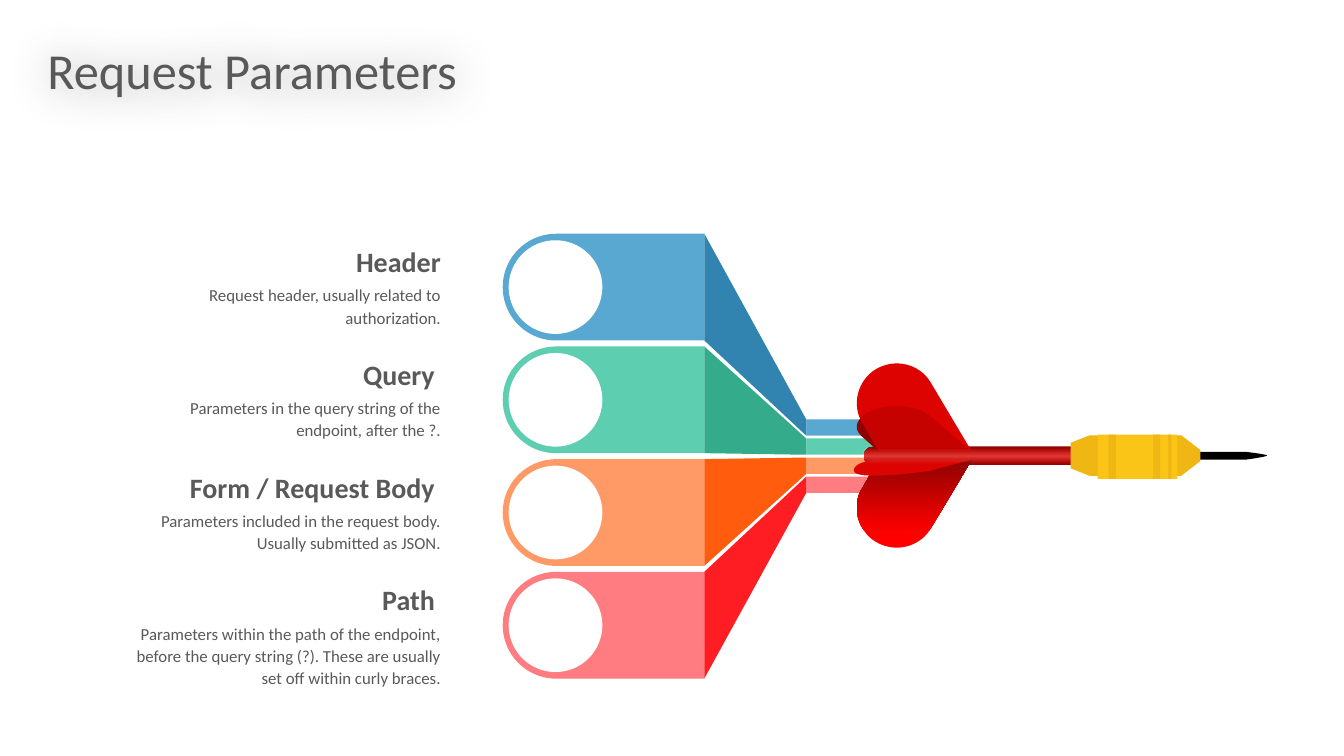
from lxml import etree
from pptx import Presentation
from pptx.dml.color import RGBColor
from pptx.enum import shapes, text
from pptx.oxml import ns, parse_xml
from pptx.util import Cm, Pt

GREY = RGBColor(0x59, 0x59, 0x59)
WHITE = RGBColor(0xFF, 0xFF, 0xFF)
BLACK = RGBColor(0x00, 0x00, 0x00)
BLUE, BLUE_DARK = RGBColor(0x59, 0xA8, 0xD1), RGBColor(0x30, 0x84, 0xAF)
GREEN, GREEN_DARK = RGBColor(0x5D, 0xCE, 0xAF), RGBColor(0x34, 0xAC, 0x8B)
ORANGE, ORANGE_DARK = RGBColor(0xFF, 0x99, 0x66), RGBColor(0xFF, 0x5D, 0x0D)
PINK, PINK_DARK = RGBColor(0xFF, 0x7C, 0x80), RGBColor(0xFF, 0x1D, 0x24)
RED, RED_DARK = RGBColor(0xDD, 0x03, 0x00), RGBColor(0x8E, 0x03, 0x00)
RED_BRIGHT = RGBColor(0xFF, 0x00, 0x00)
YELLOW, YELLOW_DARK = RGBColor(0xFA, 0xC5, 0x16), RGBColor(0xEF, 0xB6, 0x14)

SHAPE = shapes.MSO_SHAPE

# heading, heading width, heading right inset, description, its height, colours
ROWS = [
    ("Header", 2.67, 0.25, "Request header, usually related to authorization.",
     1.4, BLUE, BLUE_DARK),
    ("Query", 2.51, 0.4,
     "Parameters in the query string of the endpoint, after the ?.",
     1.4, GREEN, GREEN_DARK),
    ("Form / Request Body", 6.91, 0.4,
     "Parameters included in the request body. Usually submitted as JSON.",
     1.4, ORANGE, ORANGE_DARK),
    ("Path", 2.01, 0.4,
     "Parameters within the path of the endpoint, before the query string (?). "
     "These are usually set off within curly braces.", 1.93, PINK, PINK_DARK),
]
ROW_PITCH, STRIP_PITCH = 2.84, 0.48


def paint(sp, color, alpha=None):
    sp.shadow.inherit = False
    sp.line.fill.background()
    sp.fill.solid()
    sp.fill.fore_color.rgb = color
    if alpha is not None:
        clr = sp._element.spPr.find(".//" + ns.qn("a:srgbClr"))
        etree.SubElement(clr, ns.qn("a:alpha")).set("val", str(alpha * 1000))
    return sp


def paint_gradient(sp, angle, stops):
    """Each stop is (position, colour, opacity), in percent."""
    paint(sp, WHITE)
    gs = "".join(f'<a:gs pos="{pos * 1000}"><a:srgbClr val="{color}">'
                 f'<a:alpha val="{alpha * 1000}"/></a:srgbClr></a:gs>'
                 for pos, color, alpha in stops)
    grad = parse_xml(f'<a:gradFill {ns.nsdecls("a")} rotWithShape="1"><a:gsLst>{gs}'
                     f'</a:gsLst><a:lin ang="{angle * 60000}" scaled="0"/></a:gradFill>')
    spPr = sp._element.spPr
    spPr.replace(spPr.find(ns.qn("a:solidFill")), grad)


def add_block(parent, kind, x, y, w, h):
    return parent.add_shape(kind, Cm(x), Cm(y), Cm(w), Cm(h))


def add_outline(parent, x, y, segments, steps=16):
    """Segments hold a line end (2 numbers) or a cubic curve (6 numbers)."""
    pts = [segments[0]]
    for seg in segments[1:]:
        if len(seg) == 2:
            pts.append(seg)
            continue
        poly = [pts[-1], seg[:2], seg[2:4], seg[4:]]
        for i in range(1, steps + 1):
            t = i / steps
            weights = ((1 - t) ** 3, 3 * t * (1 - t) ** 2, 3 * t * t * (1 - t), t ** 3)
            pts.append(tuple(sum(k * p[axis] for k, p in zip(weights, poly))
                             for axis in (0, 1)))
    emu = [(Cm(x + px), Cm(y + py)) for px, py in pts]
    fb = parent.build_freeform(*emu[0], scale=1.0)
    fb.add_line_segments(emu[1:], close=True)
    return fb.convert_to_shape()


def add_text(s, x, y, w, h, content, size, bold=False, wrap=True, inset=0.25):
    tf = s.shapes.add_textbox(Cm(x), Cm(y), Cm(w), Cm(h)).text_frame
    tf.word_wrap = wrap
    tf.margin_right = Cm(inset)
    p = tf.paragraphs[0]
    p.text = content
    p.alignment = text.PP_ALIGN.RIGHT
    style(p, size, bold)
    return p


def style(p, size, bold=False):
    for r in p.runs:
        r.font.name, r.font.size, r.font.bold = "Calibri", Pt(size), bold
        r.font.color.rgb = GREY


def add_title(s, x, y, w, h):
    sp = s.shapes.title
    sp.left, sp.top, sp.width, sp.height = Cm(x), Cm(y), Cm(w), Cm(h)
    tf = sp.text_frame
    tf.text = "Request Parameters"
    tf.word_wrap = True
    tf.auto_size = text.MSO_AUTO_SIZE.NONE
    tf.vertical_anchor = text.MSO_ANCHOR.TOP
    tf.paragraphs[0].alignment = text.PP_ALIGN.LEFT
    style(tf.paragraphs[0], 36)
    # Soft halo behind the words
    sp._element.spPr.append(parse_xml(
        f'<a:effectLst {ns.nsdecls("a")}><a:outerShdw blurRad="406400" dist="0">'
        '<a:srgbClr val="000000"><a:alpha val="40000"/></a:srgbClr>'
        '</a:outerShdw></a:effectLst>'))


def add_label(s, x, y, w, row):
    heading, heading_w, inset, description, height = row[:5]
    add_text(s, x + w - heading_w, y + 0.15, heading_w, 1.12, heading, 20,
             bold=True, wrap=False, inset=inset)
    add_text(s, x, y + 1.12, w, height, description, 12).line_spacing = 1.1


def add_band(s, x, y, strip_y, light, dark):
    w, h, fold_w, strip_w, strip_h, disc = 5.08, 2.69, 2.57, 3.23, 0.41, 2.36
    # Band with its rounded end turned to the left
    band = add_block(s.shapes, SHAPE.ROUND_2_SAME_RECTANGLE,
                     x + (w - h) / 2, y + (h - w) / 2, h, w)
    band.adjustments[0], band.adjustments[1] = 0.5, 0
    band.rotation = 270
    paint(band, light)
    # Strip and the fold leading to it
    strip_x = x + w + fold_w
    paint(add_block(s.shapes, SHAPE.RECTANGLE, strip_x, strip_y, strip_w, strip_h), light)
    drop = strip_y - y
    paint(add_outline(s.shapes, x + w, y, [
        (0, 0), (0, h), (fold_w, drop + strip_h), (fold_w, drop)]), dark)
    # White disc
    paint(add_block(s.shapes, SHAPE.OVAL, x + 0.15, y + (h - disc) / 2, disc, disc), WHITE)


def add_dart(s, x, y):
    """Dart pointing right; x is its left end and y its axis."""
    g = s.shapes.add_group_shape().shapes

    def block(kind, bx, by, w, h):
        return add_block(g, kind, x + bx, y + by, w, h)

    def outline(*segments):
        return add_outline(g, x, y, segments)

    def fin(side, spread=1):
        def at(h):
            return side * (0.1 + spread * h)
        return outline((0.64, at(2.08)),
                       (1.12, at(2.36), 1.73, at(2.21), 2.01, at(1.75)),
                       (3.05, at(0)), (0.71, at(0)), (0.3, at(0.71)),
                       (0, at(1.17), 0.18, at(1.81), 0.64, at(2.08)))

    # Shaft and needle
    shaft = block(SHAPE.ROUNDED_RECTANGLE, 0.33, -0.23, 5.79, 0.48)
    shaft.adjustments[0] = 0.5
    paint_gradient(shaft, 90, [(0, RED_DARK, 100), (50, RED, 100), (100, RED_DARK, 100)])
    paint(outline((9.98, -0.09), (9.98, -0.09, 10.49, -0.03, 10.49, 0),
                  (10.49, 0.03, 9.98, 0.1, 9.98, 0.1), (8, 0.1), (8, -0.09)), BLACK)
    # Barrel: two cones, body and rings
    for wide, bend, narrow, half in ((7.75, 8.33, 8.81, 0.14), (6.6, 6.02, 5.54, 0.32)):
        paint(outline((wide, -0.51), (bend, -0.51), (narrow, -half),
                      (narrow, half), (bend, 0.51), (wide, 0.51)), YELLOW_DARK)
    for bx, w, color in ((6.22, 2.01, YELLOW), (8, 0.08, YELLOW_DARK),
                         (7.62, 0.18, YELLOW_DARK), (6.5, 0.18, YELLOW_DARK)):
        paint(block(SHAPE.RECTANGLE, bx, -0.53, w, 1.12), color)
    # Fins
    paint(fin(-1, 0.515), RED_DARK)
    paint_gradient(fin(1), 270, [(17, RED_BRIGHT, 100), (100, RED_DARK, 100)])
    paint(outline((2.01, 0.38), (3.05, 0.1), (0.71, 0.1),
                  (0.71, 0.1, 0.08, 0.13, 0.08, 0.38),
                  (0.08, 0.64, 1.73, 0.43, 2.01, 0.38)), RED)
    paint(fin(-1), RED)
    # Shade on the upper fin, gleam on the shaft
    paint(outline((0.23, -0.94), (0.3, -1.02, 0.46, -1.12, 0.64, -1.17),
                  (1.12, -1.32, 1.73, -1.24, 2.01, -0.99), (3.05, -0.1),
                  (0.71, -0.1), (0.3, -0.81),
                  (0.28, -0.84, 0.25, -0.89, 0.23, -0.94)), BLACK, alpha=10)
    paint_gradient(block(SHAPE.RECTANGLE, 0.33, -0.18, 5.21, 0.38), 90,
                   [(0, WHITE, 0), (50, WHITE, 20), (100, WHITE, 0)])


def main():
    prs = Presentation()
    prs.slide_width, prs.slide_height = Cm(33.87), Cm(19.05)
    s = prs.slides.add_slide(prs.slide_layouts[5])
    add_title(s, 0.94, 0.86, 25.07, 1.8)
    for i, row in enumerate(ROWS):
        y = 5.89 + i * ROW_PITCH
        add_band(s, 12.67, y, 10.57 + i * STRIP_PITCH, *row[5:])
        add_label(s, 3.18, y, 8.18, row)
    add_dart(s, 21.44, 11.48)
    prs.save("out.pptx")


if __name__ == "__main__":
    main()
